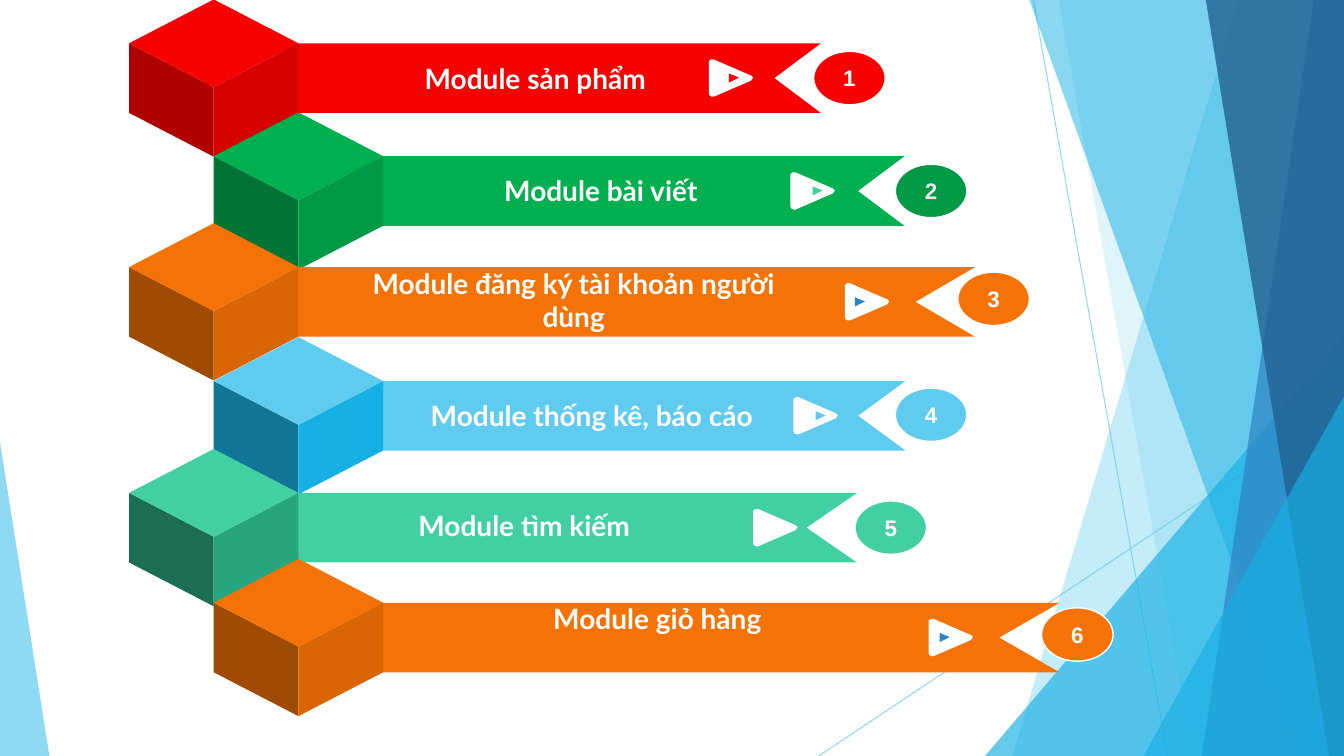
from collections import namedtuple

from lxml import etree
from pptx import Presentation
from pptx.dml.color import RGBColor
from pptx.enum.shapes import MSO_CONNECTOR, MSO_SHAPE
from pptx.enum.text import MSO_ANCHOR, PP_ALIGN
from pptx.oxml.ns import qn
from pptx.util import Inches, Pt

STRAIGHT = MSO_CONNECTOR.STRAIGHT
TRIANGLE = MSO_SHAPE.ISOSCELES_TRIANGLE
OVAL = MSO_SHAPE.OVAL
MIDDLE = MSO_ANCHOR.MIDDLE
CENTER = PP_ALIGN.CENTER

WIDTH, HEIGHT = 13.33, 7.5
COLORS = {
    "white": "FFFFFF", "pale": "EBEBEB", "sky": "5FCBEF", "azure": "17B0E4",
    "blue": "2E83C3", "navy": "226292", "teal": "0F7698",
    "red": "F60000", "red mid": "D60000", "red dark": "B00000", "bright red": "FF0000",
    "green": "00B050", "green mid": "009A46", "green dark": "007434",
    "orange": "F57306", "orange mid": "D96505", "orange dark": "A04B04",
    "mint": "42D0A2", "mint mid": "29A57D", "mint dark": "1B6E53",
}

RAYS = [((10.25, 0), (11.58, HEIGHT)), ((WIDTH, 4.03), (8.12, HEIGHT))]
# name: top-left x, bottom-left x, colour, opacity
BACK_PANELS = [(12.28, 10.04, "sky", 36), (10.5, 11.83, "sky", 20)]
FRONT_PANELS = [(10.21, 12.91, "azure", 50), (13.03, 11.92, "blue", 70),
                (11.96, 13.18, "navy", 80)]
BACK_WEDGES = [(9.77, 3.33, 3.56, 1, "azure", 66)]
FRONT_WEDGES = [(11.34, 3.93, 1.99, 1, "azure", 66), (0, 4.39, 0.49, 0, "sky", 70)]

Module = namedtuple("Module", "title title_box top bar badge badge_fill number_color "
                              "play marker marker_fill shades")
MODULES = [
    Module("Module sản phẩm", (3.23, 0.61, 4.16), 0.43, (2.82, 7.68, 8.14), (8.07, 0.51),
           "red", "white", 7.03, 7.23, "bright red", ("red", "red mid", "red dark")),
    Module("Module bài viết", (3.88, 1.72, 4.16), 1.55, (3.46, 8.51, 8.97), (8.88, 1.63),
           "green mid", "pale", 7.84, 8.06, "mint", ("green", "green mid", "green dark")),
    Module("Module đăng ký tài khoản người dùng", (3.43, 2.64, 4.52), 2.65,
           (2.85, 9.08, 9.67), (9.5, 2.7), "orange", "white", 8.38, 8.48, "blue",
           ("orange", "orange mid", "orange dark")),
    Module("Module thống kê, báo cáo", (3.91, 3.95, 3.92), 3.78, (3.69, 8.51, 8.98),
           (8.88, 3.85), "sky", "white", 7.87, 8.09, "sky", ("sky", "azure", "teal")),
    Module("Module tìm kiếm", (2.73, 5.04, 4.94), 4.89, (2.63, 8, 8.5), (8.48, 4.97),
           "mint", "white", 7.47, None, None, ("mint", "mint mid", "mint dark")),
    Module("Module giỏ hàng", (4.26, 5.97, 4.52), 5.98, (3.68, 9.91, 10.51), (10.33, 6.03),
           "orange", "white", 9.21, 9.32, "blue", ("orange", "orange mid", "orange dark")),
]
CUBE_LEFTS = (1.28, 2.12)
CUBE_HALF, CUBE_RISE, BAR_HEIGHT = 0.84, 0.435, 0.69
PLAY_OUTLINE = [(0.03, 0.37), (0.01, 0.36), (0, 0.34), (0, 0.02), (0.02, 0), (0.05, 0),
                (0.42, 0.16), (0.44, 0.18), (0.42, 0.21), (0.05, 0.37)]


def color(name):
    return RGBColor.from_string(COLORS[name])


def set_opacity(shape, percent):
    for tint in shape._element.spPr.iter(qn("a:srgbClr")):
        etree.SubElement(tint, qn("a:alpha")).set("val", str(percent * 1000))


def paint(shape, fill):
    shape.shadow.inherit = False
    shape.fill.solid()
    shape.fill.fore_color.rgb = color(fill)
    shape.line.fill.background()


def add_outline(slide, points, fill):
    corners = [(Inches(x), Inches(y)) for x, y in points]
    builder = slide.shapes.build_freeform(*corners[0])
    builder.add_line_segments(corners[1:])
    shape = builder.convert_to_shape()
    paint(shape, fill)
    return shape


def add_ray(slide, start, end):
    ray = slide.shapes.add_connector(STRAIGHT, *map(Inches, start + end))
    ray.line.color.rgb = color("sky")
    ray.line.width = Pt(0.75)
    set_opacity(ray, 70)
    etree.SubElement(ray._element.spPr, qn("a:effectLst"))


def add_panel(slide, top_x, bottom_x, fill, opacity):
    points = [(top_x, 0), (WIDTH, 0), (WIDTH, HEIGHT), (bottom_x, HEIGHT)]
    set_opacity(add_outline(slide, points, fill), opacity)


def add_wedge(slide, left, top, width, apex, fill, opacity):
    wedge = slide.shapes.add_shape(
        TRIANGLE, *map(Inches, (left, top, width, HEIGHT - top)))
    wedge.adjustments[0] = apex
    paint(wedge, fill)
    set_opacity(wedge, opacity)


def write(shape, text, size, font, fill):
    para = shape.text_frame.paragraphs[0]
    para.text = text
    para.alignment = CENTER
    span = para.runs[0].font
    span.size, span.name, span.bold = Pt(size), font, True
    span.color.rgb = color(fill)


def add_badge(slide, number, module):
    badge = slide.shapes.add_shape(OVAL, *map(Inches, module.badge + (0.71, 0.53)))
    paint(badge, module.badge_fill)
    badge.line.color.rgb = color("white")
    badge.line.width = Pt(1)
    badge.text_frame.word_wrap = False
    badge.text_frame.vertical_anchor = MIDDLE
    write(badge, str(number), 16, "Arial", module.number_color)


def add_cube(slide, left, top, shades):
    middle, right = left + CUBE_HALF, left + 2 * CUBE_HALF
    front, bottom = top + CUBE_RISE, top + BAR_HEIGHT
    lid, right_side, left_side = shades
    for edge, fill in ((left, left_side), (right, right_side)):
        add_outline(slide, [(middle, bottom + CUBE_RISE), (edge, bottom),
                            (edge, top), (middle, front)], fill)
    add_outline(slide, [(left, top), (middle, front), (right, top),
                        (middle, top - CUBE_RISE)], lid)


def add_title(slide, module):
    box = slide.shapes.add_textbox(*map(Inches, module.title_box + (0.34,)))
    frame = box.text_frame
    frame.word_wrap = True
    frame.margin_left = frame.margin_right = frame.margin_top = frame.margin_bottom = 0
    write(box, module.title, 20, "Lato", "white")


def add_module(slide, number, module):
    top, bottom = module.top, module.top + BAR_HEIGHT
    left, notch, right = module.bar
    add_outline(slide, [(left, top), (right, top), (notch, top + BAR_HEIGHT / 2),
                        (right, bottom), (left, bottom)], module.shades[0])
    add_badge(slide, number, module)
    add_cube(slide, CUBE_LEFTS[(number - 1) % 2], top, module.shades)
    play_top = top + 0.16
    add_outline(slide, [(module.play + x, play_top + y) for x, y in PLAY_OUTLINE], "white")
    if module.marker:
        x, y = module.marker, play_top + 0.14
        add_outline(slide, [(x, y), (x + 0.1, y + 0.04), (x, y + 0.09)],
                    module.marker_fill)
    add_title(slide, module)


def main():
    """Build the slide of six store modules."""
    deck = Presentation()
    deck.slide_width, deck.slide_height = Inches(WIDTH), Inches(HEIGHT)
    page = deck.slides.add_slide(deck.slide_layouts[6])
    for start, end in RAYS:
        add_ray(page, start, end)
    for panels, wedges in ((BACK_PANELS, BACK_WEDGES), (FRONT_PANELS, FRONT_WEDGES)):
        for panel in panels:
            add_panel(page, *panel)
        for wedge in wedges:
            add_wedge(page, *wedge)
    for number, module in enumerate(MODULES, 1):
        add_module(page, number, module)
    deck.save("out.pptx")


if __name__ == "__main__":
    main()
